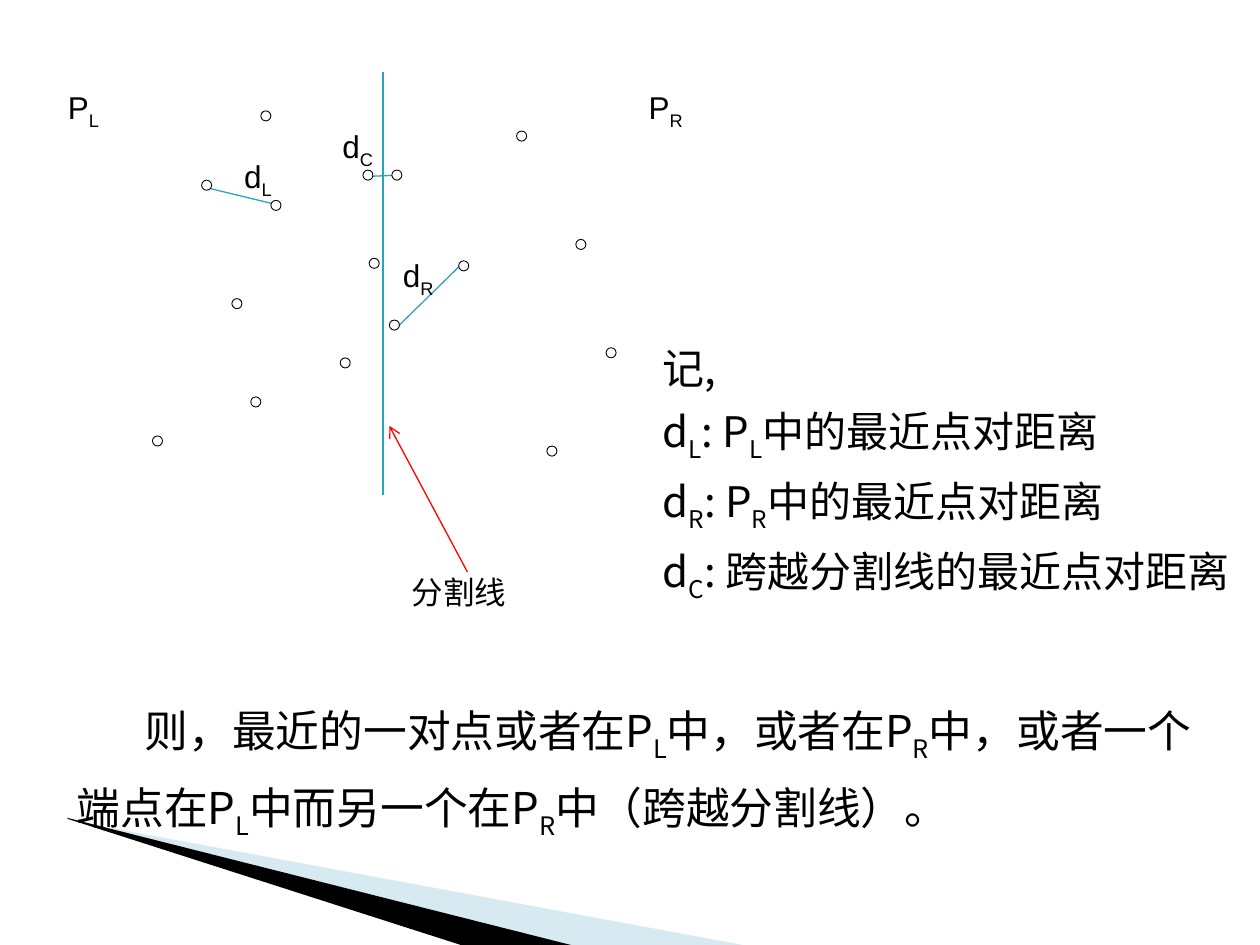
from lxml.etree import SubElement
from pptx import Presentation
from pptx.dml.color import RGBColor
from pptx.enum.shapes import MSO_CONNECTOR, MSO_SHAPE
from pptx.enum.text import MSO_ANCHOR, MSO_AUTO_SIZE
from pptx.oxml.ns import qn
from pptx.util import Inches, Pt

COLORS = {"text": "000000", "wedge": "9FCBDC", "line": "2DA2BF",
          "pointer": "FF0000", "dot": "FFFFFF"}
CJK = "Noto Sans CJK SC"
DOT = 0.08

# Left and top of each point: loose ones, then the ends of the marked pairs
LOOSE_POINTS = [(2.07, 0.88), (1.84, 2.37), (1.99, 3.15), (2.7, 2.84),
                (2.93, 2.05), (4.1, 1.04), (4.57, 1.9), (4.81, 2.76),
                (4.34, 3.54), (1.21, 3.46)]
PAIR_POINTS = [(1.6, 1.43), (2.15, 1.59), (2.88, 1.35), (3.11, 1.35),
               (3.64, 2.07), (3.09, 2.54)]
PAIR_LINES = [((3.17, 2.58), (3.64, 2.12)), ((2.92, 1.4), (3.17, 1.39)),
              ((1.6, 1.48), (2.22, 1.63))]

# Left, top, width, wrap and text; "_" puts the next letter below the line
LABELS = [(1.84, 1.2, 0.7, True, "d_L"), (2.62, 0.96, 0.7, True, "d_C"),
          (3.1, 1.98, 0.7, True, "d_R"), (3.17, 4.5, 0.95, False, "分割线"),
          (0.44, 0.65, 0.45, False, "P_L"), (5.05, 0.65, 0.47, False, "P_R")]
DEFINITIONS = ["记,", "d_L: P_L中的最近点对距离", "d_R: P_R中的最近点对距离",
               "d_C: 跨越分割线的最近点对距离"]
CONCLUSION = ("则，最近的一对点或者在P_L中，或者在P_R中，"
              "或者一个端点在P_L中而另一个在P_R中（跨越分割线）。")


def color(name):
    return RGBColor.from_string(COLORS[name])


def add_run(paragraph, text, size, font, lowered=False):
    run = paragraph.add_run()
    run.text = text
    run.font.size = Pt(size)
    run.font.name = font
    run.font.color.rgb = color("text")
    properties = run.font._element
    SubElement(properties, qn("a:ea")).set("typeface", CJK)
    if lowered:
        properties.set("baseline", "-25000")


def add_marked_text(paragraph, text, size, font):
    first, *rest = text.split("_")
    add_run(paragraph, first, size, font)
    for part in rest:
        add_run(paragraph, part[0], size, font, lowered=True)
        if part[1:]:
            add_run(paragraph, part[1:], size, font)


def format_paragraph(paragraph, line_spacing, margin, indent, space_before):
    properties = paragraph._p.get_or_add_pPr()
    properties.set("marL", str(Inches(margin)))
    properties.set("indent", str(Inches(indent)))
    SubElement(properties, qn("a:buNone"))
    paragraph.line_spacing = line_spacing
    paragraph.space_before = Pt(space_before)


def add_wedge(slide, points, fill, opacity=100):
    builder = slide.shapes.build_freeform(
        Inches(points[0][0]), Inches(points[0][1]), scale=1.0)
    builder.add_line_segments([(Inches(x), Inches(y)) for x, y in points[1:]])
    shape = builder.convert_to_shape()
    shape.shadow.inherit = False
    shape.fill.solid()
    shape.fill.fore_color.rgb = color(fill)
    shape.line.fill.background()
    if opacity < 100:
        fill_color = shape._element.spPr.find(".//" + qn("a:srgbClr"))
        SubElement(fill_color, qn("a:alpha")).set("val", str(opacity * 1000))


def add_line(slide, start, end, line_color, arrow=False):
    ends = [Inches(value) for value in (*start, *end)]
    connector = slide.shapes.add_connector(MSO_CONNECTOR.STRAIGHT, *ends)
    connector.line.color.rgb = color(line_color)
    connector.line.width = Pt(0.75)
    if arrow:
        SubElement(connector.line._get_or_add_ln(),
                   qn("a:tailEnd")).set("type", "arrow")
    SubElement(connector._element.spPr, qn("a:effectLst"))


def add_point(slide, left, top, filled):
    shape = slide.shapes.add_shape(MSO_SHAPE.OVAL, Inches(left), Inches(top),
                                   Inches(DOT), Inches(DOT))
    shape.shadow.inherit = False
    if filled:
        shape.fill.solid()
        shape.fill.fore_color.rgb = color("dot")
    else:
        shape.fill.background()
    shape.line.color.rgb = color("text")
    shape.line.width = Pt(0.5)


def add_text_box(slide, left, top, width, height, wrap=True):
    box = slide.shapes.add_textbox(Inches(left), Inches(top),
                                   Inches(width), Inches(height))
    box.text_frame.word_wrap = wrap
    return box.text_frame


def add_label(slide, left, top, width, wrap, text):
    height = 0.44 if "_" in text else 0.4
    frame = add_text_box(slide, left, top, width, height, wrap)
    frame.auto_size = MSO_AUTO_SIZE.SHAPE_TO_FIT_TEXT
    add_marked_text(frame.paragraphs[0], text, 18, "Arial")


def add_definitions(slide):
    frame = add_text_box(slide, 5.04, 2.63, 5.23, 2.28)
    for index, text in enumerate(DEFINITIONS):
        paragraph = frame.add_paragraph() if index else frame.paragraphs[0]
        format_paragraph(paragraph, 1.1, 0.4, -0.28, 4 if index else 0)
        add_marked_text(paragraph, text, 24, CJK)


def fill_conclusion(slide):
    body = slide.placeholders[1]
    body.left, body.top = Inches(0.51), Inches(5.39)
    body.width, body.height = Inches(9.19), Inches(1.27)
    frame = body.text_frame
    frame.auto_size = MSO_AUTO_SIZE.NONE
    frame.vertical_anchor = MSO_ANCHOR.TOP
    frame.word_wrap = True
    paragraph = frame.paragraphs[0]
    format_paragraph(paragraph, 1.3, 0, 0.54, 0)
    add_marked_text(paragraph, CONCLUSION, 25, CJK)


def main():
    presentation = Presentation()
    presentation.slide_width = Inches(10)
    presentation.slide_height = Inches(7.5)
    slide = presentation.slides.add_slide(presentation.slide_layouts[1])
    title = slide.shapes.title._element
    title.getparent().remove(title)

    # Corner decoration, placed behind the body text
    add_wedge(slide, [(0.55, 6.51), (5.95, 7.51), (4.56, 7.51), (0.55, 6.5)],
              "wedge", opacity=40)
    add_wedge(slide, [(0.53, 6.49), (4.57, 7.51), (3.72, 7.52), (0.54, 6.5)],
              "text")
    body = slide.placeholders[1]._element
    body.getparent().append(body)

    # Text
    fill_conclusion(slide)
    add_definitions(slide)

    # Point sets, closest pairs and dividing line
    for start, end in PAIR_LINES:
        add_line(slide, start, end, "line")
    for left, top in LOOSE_POINTS:
        add_point(slide, left, top, filled=False)
    add_line(slide, (3.04, 0.57), (3.04, 3.93), "line")
    for left, top in PAIR_POINTS:
        add_point(slide, left, top, filled=True)

    # Labels and pointer
    for label in LABELS:
        add_label(slide, *label)
    add_line(slide, (3.71, 4.54), (3.09, 3.38), "pointer", arrow=True)

    presentation.save("out.pptx")


if __name__ == "__main__":
    main()
